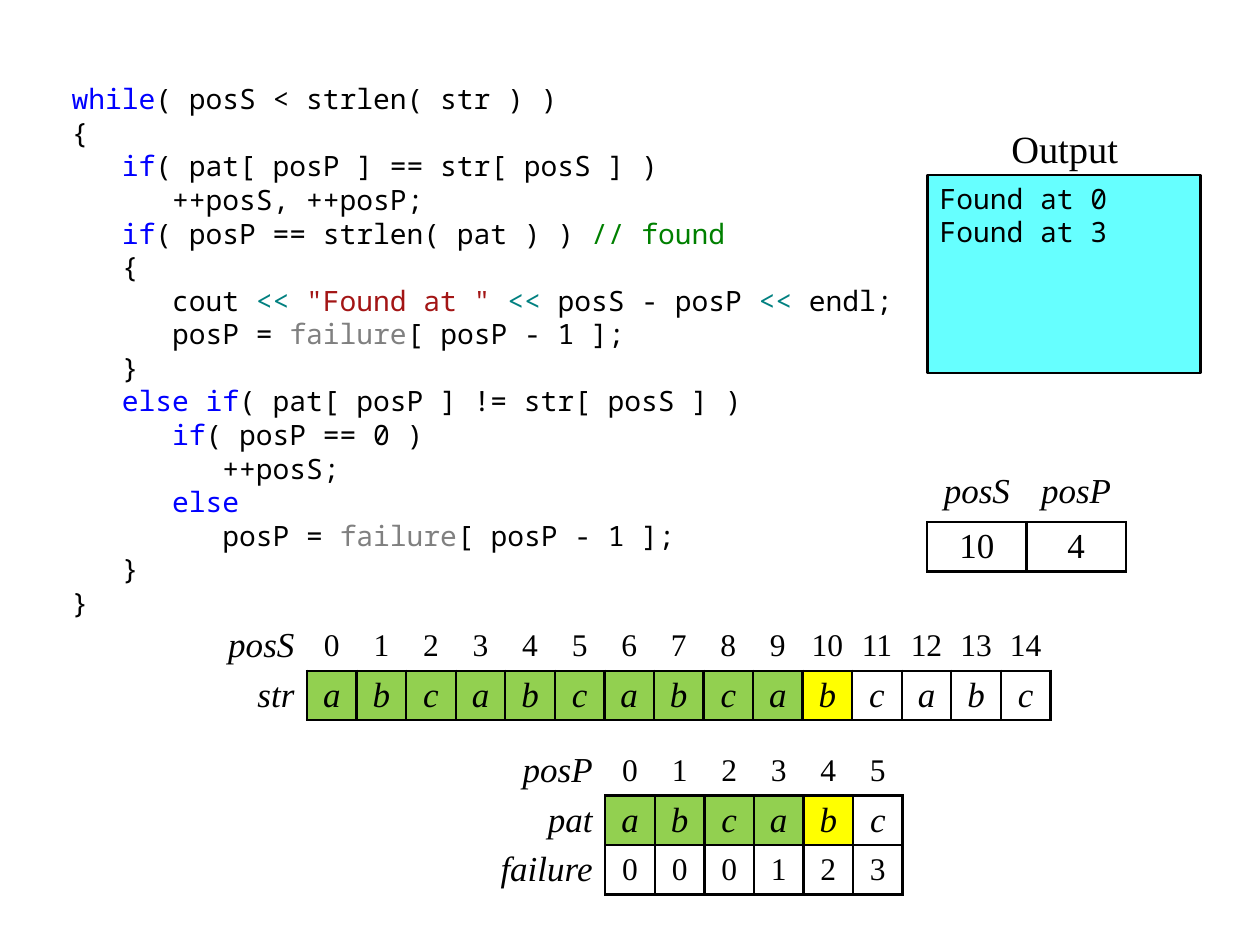
from lxml import etree
from pptx import Presentation
from pptx.dml.color import RGBColor
from pptx.enum.shapes import MSO_SHAPE
from pptx.enum.text import MSO_ANCHOR, PP_ALIGN
from pptx.oxml.ns import qn
from pptx.util import Inches, Pt

BLACK = RGBColor(0x00, 0x00, 0x00)
KEYWORD = RGBColor(0x00, 0x00, 0xFF)
COMMENT = RGBColor(0x00, 0x80, 0x00)
OPERATOR = RGBColor(0x00, 0x80, 0x80)
STRING = RGBColor(0xA3, 0x15, 0x15)
ARRAY = RGBColor(0x80, 0x80, 0x80)
MATCHED = RGBColor(0x92, 0xD0, 0x50)
CURRENT = RGBColor(0xFF, 0xFF, 0x00)
SCREEN = RGBColor(0x66, 0xFF, 0xFF)

MONO = "Noto Sans Mono"
SERIF = "Times New Roman"
NO_STYLE = "{2D5ABB26-0587-4C30-8999-92F81FD0307C}"
CELL = Inches(1 / 2.54)
ALL_SIDES = "LRTB"

CODE = [
    [("while", KEYWORD), "( posS < strlen( str ) )"],
    ["{"],
    ["   ", ("if", KEYWORD), "( pat[ posP ] == str[ posS ] )"],
    ["      ++posS, ++posP;"],
    ["   ", ("if", KEYWORD), "( posP == strlen( pat ) ) ", ("// found", COMMENT)],
    ["   {"],
    ["      cout ", ("<< ", OPERATOR), ('"Found at " ', STRING), ("<< ", OPERATOR),
     "posS - posP ", ("<< ", OPERATOR), "endl;"],
    ["      posP = ", ("failure", ARRAY), "[ posP - 1 ];"],
    ["   }"],
    ["   ", ("else if", KEYWORD), "( pat[ posP ] != str[ posS ] )"],
    ["      ", ("if", KEYWORD), "( posP == 0 )"],
    ["         ++posS;"],
    ["      ", ("else", KEYWORD)],
    ["         posP = ", ("failure", ARRAY), "[ posP - 1 ];"],
    ["   }"],
    ["}"],
]


def write_text(frame, lines, font=SERIF, size=20, italic=False,
               align=PP_ALIGN.LEFT, spacing=None):
    for index, line in enumerate(lines):
        para = frame.paragraphs[0] if index == 0 else frame.add_paragraph()
        para.alignment = align
        if spacing:
            para.line_spacing = Pt(spacing)
        for part in line:
            text, color = (part, BLACK) if isinstance(part, str) else part
            span = para.add_run()
            span.text = text
            span.font.name = font
            span.font.size = Pt(size)
            span.font.italic = italic
            span.font.color.rgb = color


def add_text_box(page, left, top, width, height, lines, right_inset=0.1,
                 top_inset=0.05, **style):
    box = page.shapes.add_textbox(Inches(left), Inches(top), Inches(width), Inches(height))
    frame = box.text_frame
    frame.word_wrap = True
    frame.margin_right = Inches(right_inset)
    frame.margin_top = Inches(top_inset)
    write_text(frame, lines, **style)


def add_screen(page, left, top, width, height, lines):
    screen = page.shapes.add_shape(
        MSO_SHAPE.RECTANGLE, Inches(left), Inches(top), Inches(width), Inches(height))
    screen.shadow.inherit = False
    screen.fill.solid()
    screen.fill.fore_color.rgb = SCREEN
    screen.line.color.rgb = BLACK
    screen.line.width = Pt(1.5)
    screen.text_frame.vertical_anchor = MSO_ANCHOR.TOP
    write_text(screen.text_frame, lines, font=MONO, size=16, spacing=19.2)


def add_borders(cell, sides):
    properties = cell._tc.get_or_add_tcPr()
    for side in sides:
        line = etree.SubElement(properties, qn(f"a:ln{side}"), w=str(Pt(1.5)))
        fill = etree.SubElement(line, qn("a:solidFill"))
        etree.SubElement(fill, qn("a:srgbClr"), val=str(BLACK))


def fill_cell(cell, text, sides="", color=None, inset=0.04,
              anchor=MSO_ANCHOR.MIDDLE, **style):
    add_borders(cell, sides)
    if color is None:
        cell.fill.background()
    else:
        cell.fill.solid()
        cell.fill.fore_color.rgb = color
    cell.margin_left = cell.margin_right = Inches(inset)
    cell.margin_top = cell.margin_bottom = 0
    cell.vertical_anchor = anchor
    write_text(cell.text_frame, [[text]], **style)


def add_grid(page, left, top, widths, row_count):
    frame = page.shapes.add_table(
        row_count, len(widths), Inches(left), Inches(top), sum(widths), CELL * row_count)
    table = frame.table
    table.first_row = table.horz_banding = False
    table._tbl.tblPr.find(qn("a:tableStyleId")).text = NO_STYLE
    for column, width in zip(table.columns, widths):
        column.width = width
    for row in table.rows:
        row.height = CELL
    return table


def add_array(page, left, top, label_width, rows, current):
    count = len(rows[0][1])
    table = add_grid(page, left, top, [label_width] + [CELL] * count, len(rows))
    for row, (label, values) in enumerate(rows):
        fill_cell(table.cell(row, 0), label, sides="R" if row else "", inset=0.1,
                  italic=True, align=PP_ALIGN.RIGHT)
        letters = row == 1
        for column, value in enumerate(values):
            color = None
            if letters and column <= current:
                color = CURRENT if column == current else MATCHED
            fill_cell(table.cell(row, column + 1), str(value),
                      sides=ALL_SIDES if row else "B", color=color,
                      size=20 if letters else 18, italic=letters,
                      align=PP_ALIGN.CENTER)


def add_positions(page, left, top, positions):
    table = add_grid(page, left, top, [CELL * 2] * len(positions), 2)
    for column, (name, value) in enumerate(positions.items()):
        fill_cell(table.cell(0, column), name, sides="B", inset=0,
                  anchor=MSO_ANCHOR.TOP, italic=True, align=PP_ALIGN.CENTER)
        fill_cell(table.cell(1, column), str(value), sides=ALL_SIDES,
                  align=PP_ALIGN.CENTER)


def main():
    deck = Presentation()
    deck.slide_width, deck.slide_height = Inches(10), Inches(7.5)
    page = deck.slides.add_slide(deck.slide_layouts[6])
    positions = {"posS": 10, "posP": 4}

    add_text_box(page, 0.47, 0.6, 6.69, 4.33, CODE, right_inset=0.04,
                 font=MONO, size=16, spacing=19.2)
    add_array(page, 1.65, 4.93, CELL * 2,
              [("posS", range(15)), ("str", "abc" * 5)], positions["posS"])
    add_positions(page, 7.36, 3.75, positions)
    add_array(page, 3.82, 5.92, int(CELL * 2.5),
              [("posP", range(6)), ("pat", "abcabc"), ("failure", [0, 0, 0, 1, 2, 3])],
              positions["posP"])
    add_screen(page, 7.36, 1.39, 2.17, 1.57, [["Found at 0"], ["Found at 3"]])
    add_text_box(page, 7.76, 0.99, 1.38, 0.39, [["Output"]], top_inset=0,
                 size=22, align=PP_ALIGN.CENTER)
    deck.save("out.pptx")


if __name__ == "__main__":
    main()
